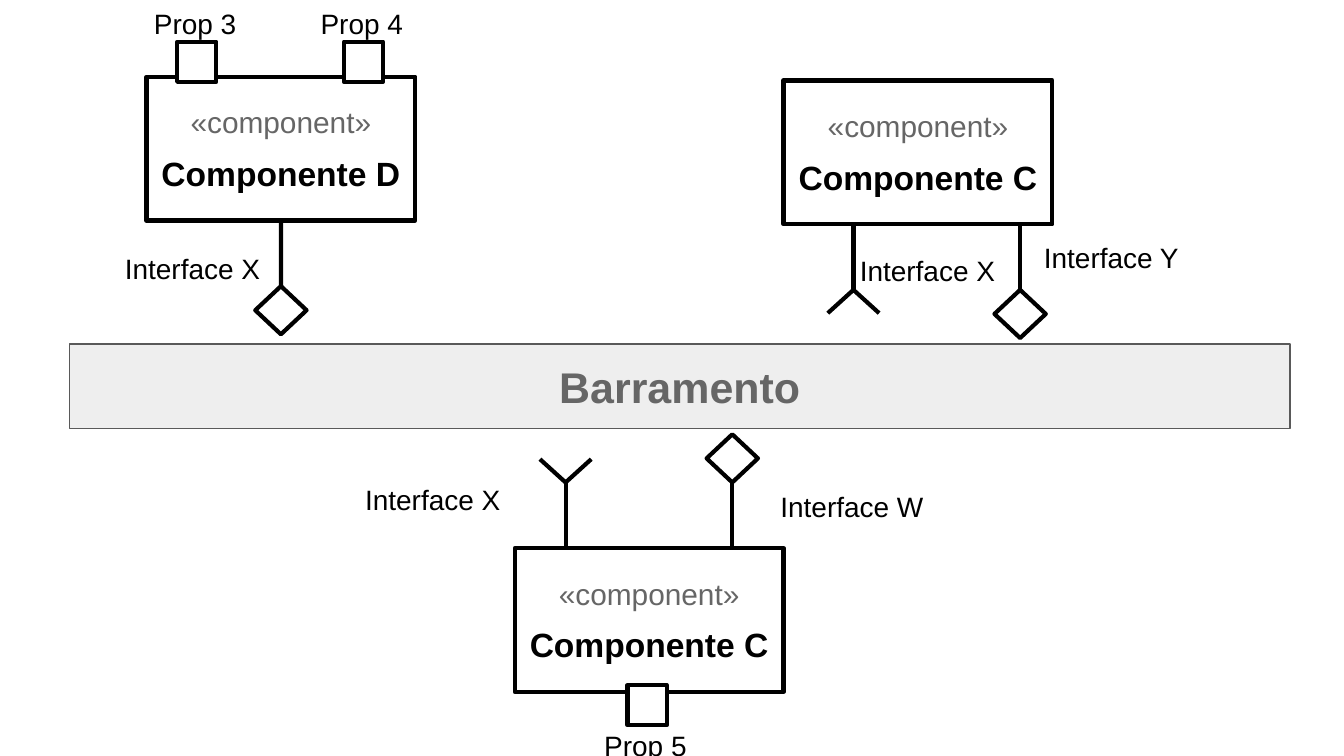
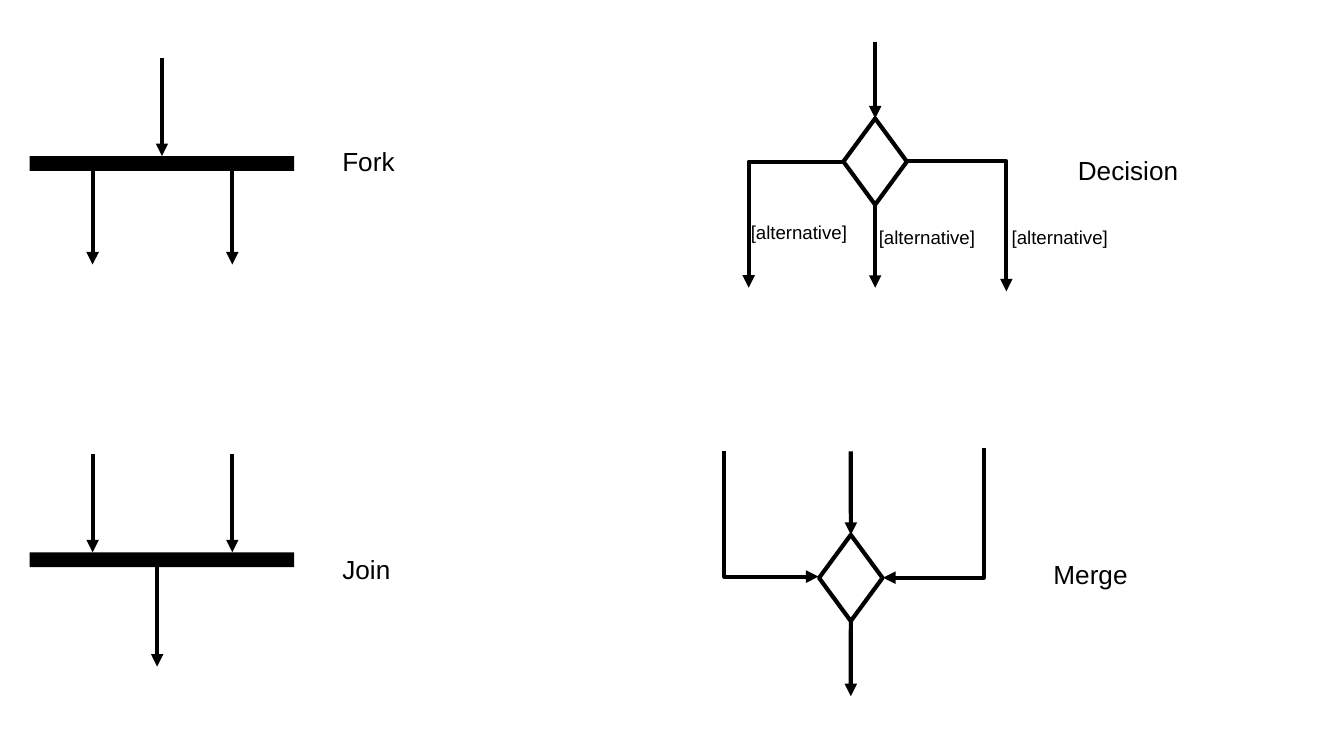
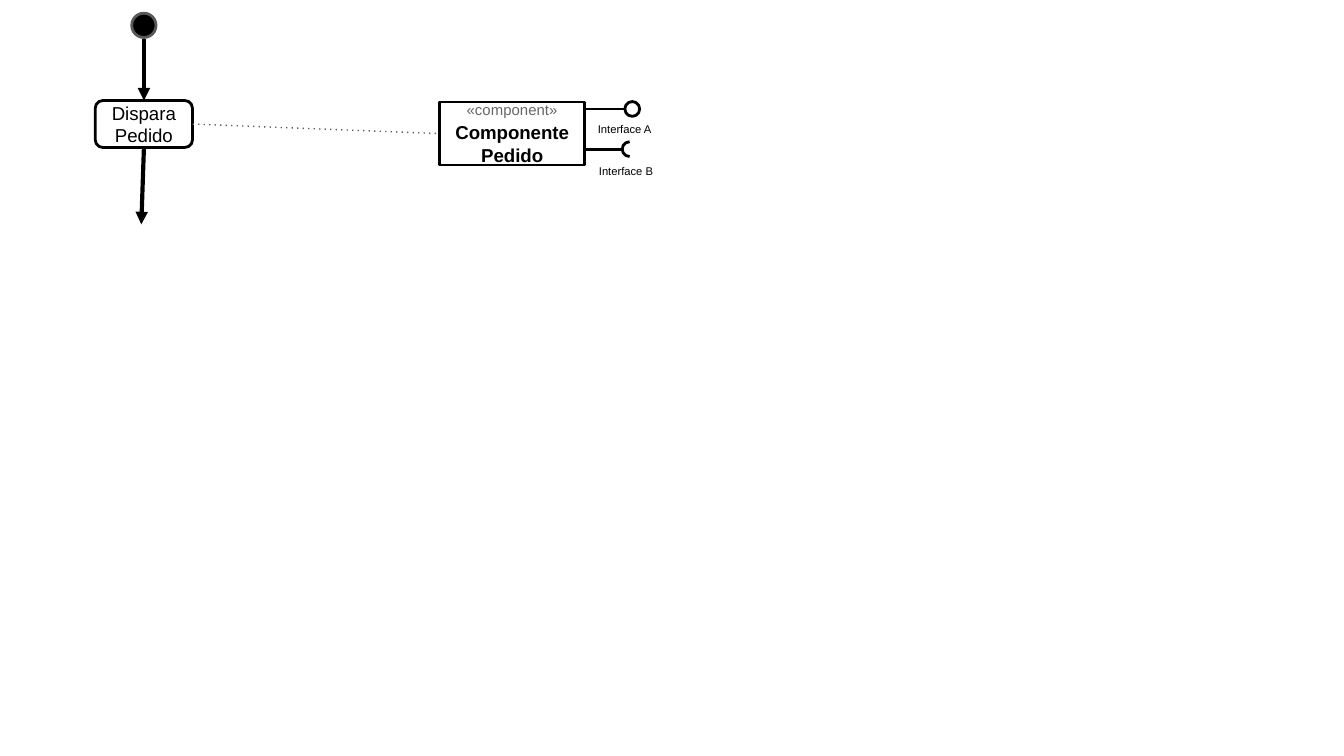
"""Build three slides of UML notation: bus components, activity nodes and a component call."""
from pptx import Presentation, util as u
from pptx.dml.color import RGBColor
from pptx.enum import shapes, text
from pptx.oxml.ns import qn
from lxml import etree

FONT = "Arial"
BLACK, WHITE, GREY, BORDER, BAND = "000000", "FFFFFF", "666666", "595959", "EEEEEE"
THICK, THIN, HAIR = 2.25, 1.5, 0.75
KIND = shapes.MSO_SHAPE

COMPONENT_SIZE, PORT_SIZE, SOCKET_SIZE = (5.08, 2.72), (0.74, 0.76), (0.97, 0.91)
STEM, FORK_DEPTH = 1.24, 0.44
BUS = ("Barramento", (1.32, 6.5, 23.06, 1.6))
COMPONENTS = [
    {"name": "Componente C", "at": (14.81, 1.52), "side": 1, "ports": [],
     "interfaces": [("fork", 16.13, "Interface X", (16, 4.67, 3.94)),
                    ("socket", 19.28, "Interface Y", (19.48, 4.42, 3.78))]},
    {"name": "Componente D", "at": (2.77, 1.45), "side": 1,
     "ports": [("Prop 3", (3.35, 0.79), 0), ("Prop 4", (6.5, 0.79), 0)],
     "interfaces": [("socket", 5.31, "Interface X", (2.11, 4.62, 3.2))]},
    {"name": "Componente C", "at": (9.73, 10.36), "side": -1,
     "ports": [("Prop 5", (11.86, 12.95), 13.64)],
     "interfaces": [("fork", 10.69, "Interface X", (6.65, 8.99, 3.94)),
                    ("socket", 13.84, "Interface W", (14.5, 9.12, 3.78))]},
]

BAR_LEFT, BAR_SIZE, DIAMOND_SIZE = 0.56, (5, 0.28), (1.2, 1.63)
BARS = [
    (2.95, [((3.06, 1.09), (3.06, 2.95)), ((1.75, 3.12), (1.75, 5)), ((4.39, 3.12), (4.39, 5))]),
    (10.44, [((1.75, 8.59), (1.75, 10.44)), ((4.39, 8.59), (4.39, 10.44)),
             ((2.97, 10.72), (2.97, 12.6))]),
]
DIAMONDS = [
    ((15.94, 2.24), [((16.54, 0.79), (16.54, 2.24)), ((16.54, 3.87), (16.54, 5.44))],
     [[(15.93, 3.06), (14.15, 3.06), (14.15, 5.44)],
      [(17.14, 3.05), (19.02, 3.05), (19.02, 5.51)]]),
    ((15.48, 10.11), [((16.08, 8.53), (16.08, 10.11)), ((16.08, 11.74), (16.08, 13.16))],
     [[(13.69, 8.53), (13.69, 10.9), (15.47, 10.9)],
      [(18.59, 8.46), (18.59, 10.92), (16.69, 10.92)]]),
]
NODE_LABELS = [("Fork", 6.22, 2.49), ("Join", 6.22, 10.21),
               ("Decision", 20.12, 2.67), ("Merge", 19.66, 10.31)]
GUARDS = [("[alternative]", 13.94, 3.96), ("[alternative]", 16.36, 4.06),
          ("[alternative]", 18.87, 4.06)]

START = (2.49, 0.25, 0.46, 0.46)
ACTION = (["Dispara", "Pedido"], (1.8, 1.9, 1.84, 0.89))
ORDER = ("Componente Pedido", (8.31, 1.93, 2.74, 1.19))
ORDER_RIGHT, BALL = 11.05, 0.28
ORDER_INTERFACES = [("Interface A", KIND.OVAL, 11.81, 2.06, (11.05, 2.18)),
                    ("Interface B", KIND.ARC, 11.76, 2.82, (11.07, 2.97))]


def color(code):
    return RGBColor.from_string(code)


def set_outline(item, line_color, width):
    item.line.color.rgb = color(line_color)
    item.line.width = u.Pt(width)


def write(shape, lines, inset, align, anchor):
    """Fill a shape with lines of (wording, size, colour, bold, space before)."""
    frame = shape.text_frame
    frame.word_wrap = True
    frame.vertical_anchor = anchor
    frame.margin_left = frame.margin_right = u.Cm(inset[0])
    frame.margin_top = frame.margin_bottom = u.Cm(inset[1])
    for index, (wording, size, ink, bold, gap) in enumerate(lines):
        paragraph = frame.paragraphs[0] if index == 0 else frame.add_paragraph()
        paragraph.text = wording
        paragraph.alignment = align
        paragraph.space_before = u.Pt(gap)
        font = paragraph.font
        font.name, font.size, font.bold = FONT, u.Pt(size), bold
        font.color.rgb = color(ink)


def write_centered(shape, lines, inset):
    write(shape, lines, inset, text.PP_ALIGN.CENTER, text.MSO_ANCHOR.MIDDLE)


def add_label(slide, wording, left, top, width, height, size, pad):
    box = slide.shapes.add_textbox(*map(u.Cm, (left, top, width, height)))
    write(box, [(wording, size, BLACK, False, 0)], (0.25, pad),
          text.PP_ALIGN.LEFT, text.MSO_ANCHOR.TOP)


def add_box(slide, kind, box, fill=WHITE, line=BLACK, width=THICK):
    shape = slide.shapes.add_shape(kind, *map(u.Cm, box))
    shape.shadow.inherit = False
    if fill:
        shape.fill.solid()
        shape.fill.fore_color.rgb = color(fill)
    else:
        shape.fill.background()
    if line:
        set_outline(shape, line, width)
    else:
        shape.line.fill.background()
    return shape


def add_line_mark(item, tag, **attributes):
    etree.SubElement(item.line._get_or_add_ln(), qn(tag), **attributes)


def add_arrowhead(item):
    add_line_mark(item, "a:tailEnd", type="triangle")


def side_at(shape, point):
    """Return the side whose middle lies at the point, or None."""
    x, y = map(u.Cm, point)
    middle_x, middle_y = shape.left + shape.width / 2, shape.top + shape.height / 2
    sides = [(middle_x, shape.top), (shape.left, middle_y),
             (middle_x, shape.top + shape.height), (shape.left + shape.width, middle_y)]
    near = u.Cm(0.02)
    for side, (side_x, side_y) in enumerate(sides):
        if abs(side_x - x) < near and abs(side_y - y) < near:
            return side
    return None


def add_line(slide, start, end, joined=(), line=BLACK, width=THICK, arrow=False):
    """Draw a straight line, attached to each joined shape it meets mid-side."""
    connector = slide.shapes.add_connector(
        shapes.MSO_CONNECTOR.STRAIGHT, *map(u.Cm, (*start, *end)))
    set_outline(connector, line, width)
    etree.SubElement(connector._element.spPr, qn("a:effectLst"))
    for shape in joined:
        for point, attach in ((start, connector.begin_connect), (end, connector.end_connect)):
            side = side_at(shape, point)
            if side is not None:
                attach(shape, side)
    if arrow:
        add_arrowhead(connector)
    return connector


def add_polyline(slide, points, arrow=False):
    first, *rest = [tuple(map(u.Cm, point)) for point in points]
    builder = slide.shapes.build_freeform(*first, scale=1.0)
    builder.add_line_segments(rest, close=False)
    shape = builder.convert_to_shape()
    shape.shadow.inherit = False
    shape.fill.background()
    set_outline(shape, BLACK, THICK)
    if arrow:
        add_arrowhead(shape)


def add_component(slide, name, box, sizes, gap, width):
    shape = add_box(slide, KIND.RECTANGLE, box, width=width)
    write_centered(shape, [("«component»", sizes[0], GREY, False, 0),
                           (name, sizes[1], BLACK, True, gap)], (0.28, 0.15))
    return shape


def add_interface(slide, component, kind, x, edge, side):
    tip = edge + side * STEM
    add_line(slide, (x, edge), (x, tip), [component])
    width, height = SOCKET_SIZE
    if kind == "socket":
        top = tip if side > 0 else tip - height
        add_box(slide, KIND.FLOWCHART_DECISION, (x - width / 2, top, width, height))
    else:
        lip = tip + side * FORK_DEPTH
        add_polyline(slide, [(x - width / 2, lip), (x, tip), (x + width / 2, lip)])


def build_bus(slide):
    name, box = BUS
    bus = add_box(slide, KIND.RECTANGLE, box, BAND, BORDER, HAIR)
    write_centered(bus, [(name, 23, GREY, True, 0)], (0.25, 0.25))
    for item in COMPONENTS:
        left, top = item["at"]
        component = add_component(slide, item["name"], (left, top, *COMPONENT_SIZE),
                                  (16, 18), 6.9, 2.3)
        edge = top + COMPONENT_SIZE[1] if item["side"] > 0 else top
        for kind, x, label, (label_left, label_top, label_width) in item["interfaces"]:
            add_interface(slide, component, kind, x, edge, item["side"])
            add_label(slide, label, label_left, label_top, label_width, 0.92, 15, 0.13)
        for label, (port_left, port_top), label_top in item["ports"]:
            add_box(slide, KIND.RECTANGLE, (port_left, port_top, *PORT_SIZE))
            add_label(slide, label, port_left - 0.69, label_top, 2.13, 0.92, 15, 0.13)


def build_activity_nodes(slide):
    for top, arrows in BARS:
        bar = add_box(slide, KIND.RECTANGLE, (BAR_LEFT, top, *BAR_SIZE), BLACK, None)
        for start, end in arrows:
            add_line(slide, start, end, [bar], arrow=True)
    for corner, arrows, elbows in DIAMONDS:
        diamond = add_box(slide, KIND.FLOWCHART_DECISION, (*corner, *DIAMOND_SIZE))
        for start, end in arrows:
            add_line(slide, start, end, [diamond], arrow=True)
        for points in elbows:
            add_polyline(slide, points, arrow=True)
    for label, left, top in NODE_LABELS:
        add_label(slide, label, left, top, 2.54, 1.19, 14, 0.25)
    for label, left, top in GUARDS:
        add_label(slide, label, left, top, 2.36, 0.86, 10, 0.25)


def build_component_call(slide):
    add_box(slide, KIND.OVAL, START, BLACK, BORDER, THIN)
    lines, box = ACTION
    action = add_box(slide, KIND.ROUNDED_RECTANGLE, box, width=THIN)
    write_centered(action, [(line, 10, BLACK, False, 0) for line in lines], (0.25, 0.25))
    order = add_component(slide, *ORDER, (8, 10), 1.2, THIN)
    add_line(slide, (2.72, 0.74), (2.72, 1.9), [action], arrow=True)
    add_line(slide, (2.72, 2.79), (2.67, 4.24), [action], arrow=True)
    call = add_line(slide, (3.64, 2.35), (8.31, 2.53), [action, order], BORDER, HAIR)
    add_line_mark(call, "a:prstDash", val="dot")
    for label, kind, left, y, corner in ORDER_INTERFACES:
        add_line(slide, (ORDER_RIGHT, y), (left, y), width=THIN)
        fill = WHITE if kind == KIND.OVAL else None
        ball = add_box(slide, kind, (left, y - BALL / 2, BALL, BALL), fill, width=THIN)
        if kind == KIND.ARC:
            ball.adjustments[0], ball.adjustments[1] = 54, 162
        add_label(slide, label, *corner, 1.73, 0.41, 6, 0.13)


def main():
    presentation = Presentation()
    presentation.slide_width, presentation.slide_height = u.Cm(25.4), u.Cm(14.29)
    for build in (build_bus, build_activity_nodes, build_component_call):
        build(presentation.slides.add_slide(presentation.slide_layouts[6]))
    presentation.save("out.pptx")


if __name__ == "__main__":
    main()
